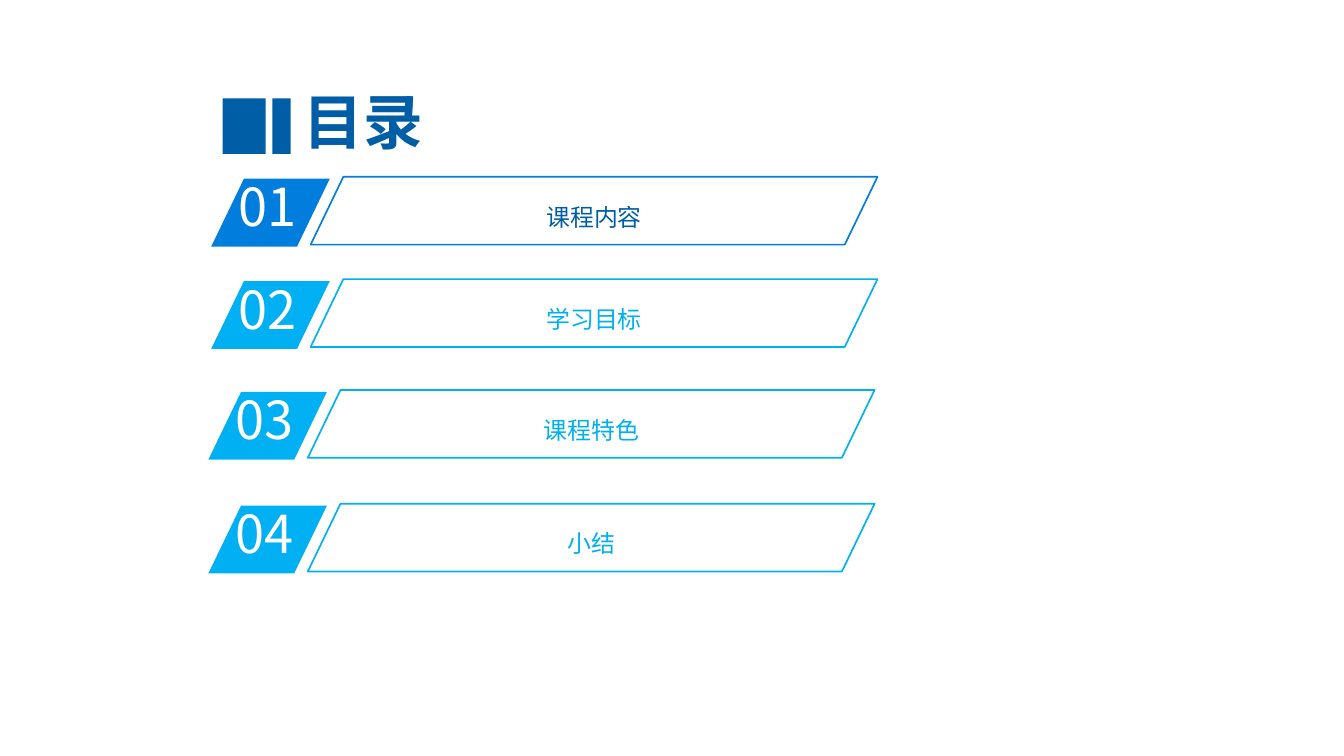
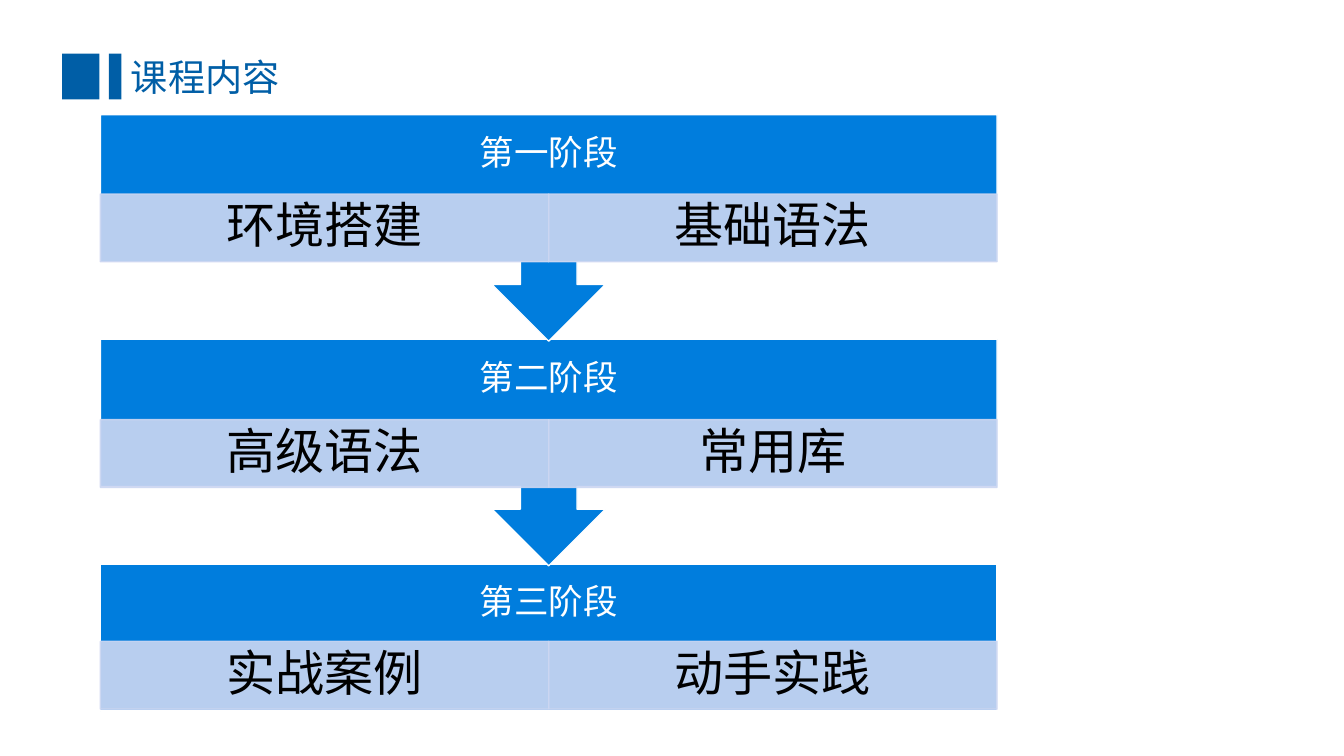
from lxml.etree import SubElement
from pptx import Presentation
from pptx.dml.color import RGBColor
from pptx.enum.shapes import MSO_SHAPE as Preset
from pptx.enum.text import MSO_ANCHOR as Anchor, MSO_AUTO_SIZE as Fit, PP_ALIGN as Align
from pptx.oxml.ns import qn
from pptx.util import Pt

PX = 9144
NAVY, BLUE, SKY, PALE = "005EA6", "007DDD", "00B0F2", "CCD7F2"
WHITE, BLACK = "FFFFFF", "000000"
CJK = "Noto Sans CJK SC"


def draw(page, preset, at, fill=None, line=None, weight=1, alpha=None):
    shape = page.shapes.add_shape(preset, *[n * PX for n in at])
    shape.shadow.inherit = False
    for paint, color in ((shape.fill, fill), (shape.line.fill, line)):
        if color is None:
            paint.background()
            continue
        paint.solid()
        paint.fore_color.rgb = RGBColor.from_string(color)
    if line:
        shape.line.width = Pt(weight)
    if alpha:
        for color in shape.element.spPr.iter(qn("a:srgbClr")):
            SubElement(color, qn("a:alpha"), val=str(alpha * 1000))
    return shape


def write(box, text, size, color, font=CJK, bold=False, align=Align.CENTER,
          insets=(10, 5, 10, 5), spacing=1.0, wrap=True):
    frame = box.text_frame
    frame.word_wrap = wrap
    frame.auto_size = Fit.NONE
    frame.vertical_anchor = Anchor.MIDDLE
    (frame.margin_left, frame.margin_top,
     frame.margin_right, frame.margin_bottom) = [n * PX for n in insets]
    para = frame.paragraphs[0]
    para.alignment = align
    para.line_spacing = spacing
    span = para.add_run()
    span.text = text
    span.font.size = Pt(size)
    span.font.bold = bold
    span.font.name = font
    span.font.color.rgb = RGBColor.from_string(color)
    SubElement(span.font._element, qn("a:ea"), typeface=CJK)


deck = Presentation()
deck.slide_width, deck.slide_height = 1406 * PX, 791 * PX

headings = [
    ("目录", (207, 88, 347, 76), 45, True, Align.CENTER,
     [(233, 103, 45, 58), (285, 103, 19, 58)]),
    ("课程内容", (127, 52, 530, 57), 28, False, Align.LEFT,
     [(65, 56, 39, 48), (114, 56, 13, 48)]),
]
for text, at, size, bold, align, bars in headings:
    page = deck.slides.add_slide(deck.slide_layouts[5])
    title = page.shapes.title
    title.left, title.top, title.width, title.height = [n * PX for n in at]
    write(title, text, size, NAVY, bold=bold, align=align)
    for bar in bars:
        draw(page, Preset.RECTANGLE, bar, fill=NAVY)

contents, course = deck.slides

chapters = [
    ("课程内容", 221, 185, BLUE, NAVY),
    ("学习目标", 221, 292, SKY, SKY),
    ("课程特色", 218, 408, SKY, SKY),
    ("小结", 218, 527, SKY, SKY),
]
for number, (text, left, top, color, ink) in enumerate(chapters, 1):
    badge = draw(contents, Preset.PARALLELOGRAM, (left, top + 2, 124, 71), fill=color)
    write(badge, f"{number:02}", 39.4, WHITE, insets=(0, 0, 6, 14), wrap=False)
    label = draw(contents, Preset.PARALLELOGRAM, (left + 104, top, 593, 71),
                 line=color, weight=1.25)
    write(label, text, 18, ink, insets=(10, 12, 10, 0))
    for shape in (badge, label):
        shape.adjustments[0] = 0.482

stages = [
    ("第三阶段", 590, 81, Preset.RECTANGLE, 154, ("实战案例", "动手实践")),
    ("第二阶段", 355, 84, Preset.DOWN_ARROW_CALLOUT, 237, ("高级语法", "常用库")),
    ("第一阶段", 120, 83, Preset.DOWN_ARROW_CALLOUT, 237, ("环境搭建", "基础语法")),
]
for name, top, offset, preset, height, topics in stages:
    stage = draw(course, preset, (105, top, 938, height), fill=BLUE, line=WHITE)
    write(stage, name, 26, WHITE, font="Calibri", insets=(20, 0, 20, 71), spacing=0.9)
    for column, topic in enumerate(topics):
        cell = draw(course, Preset.RECTANGLE,
                    (105 + 469 * column, top + offset, 469, 71),
                    fill=PALE, line=PALE, alpha=90)
        write(cell, topic, 37, BLACK, font="Calibri", insets=(29, 5, 29, 5), spacing=0.9)

deck.save("out.pptx")
